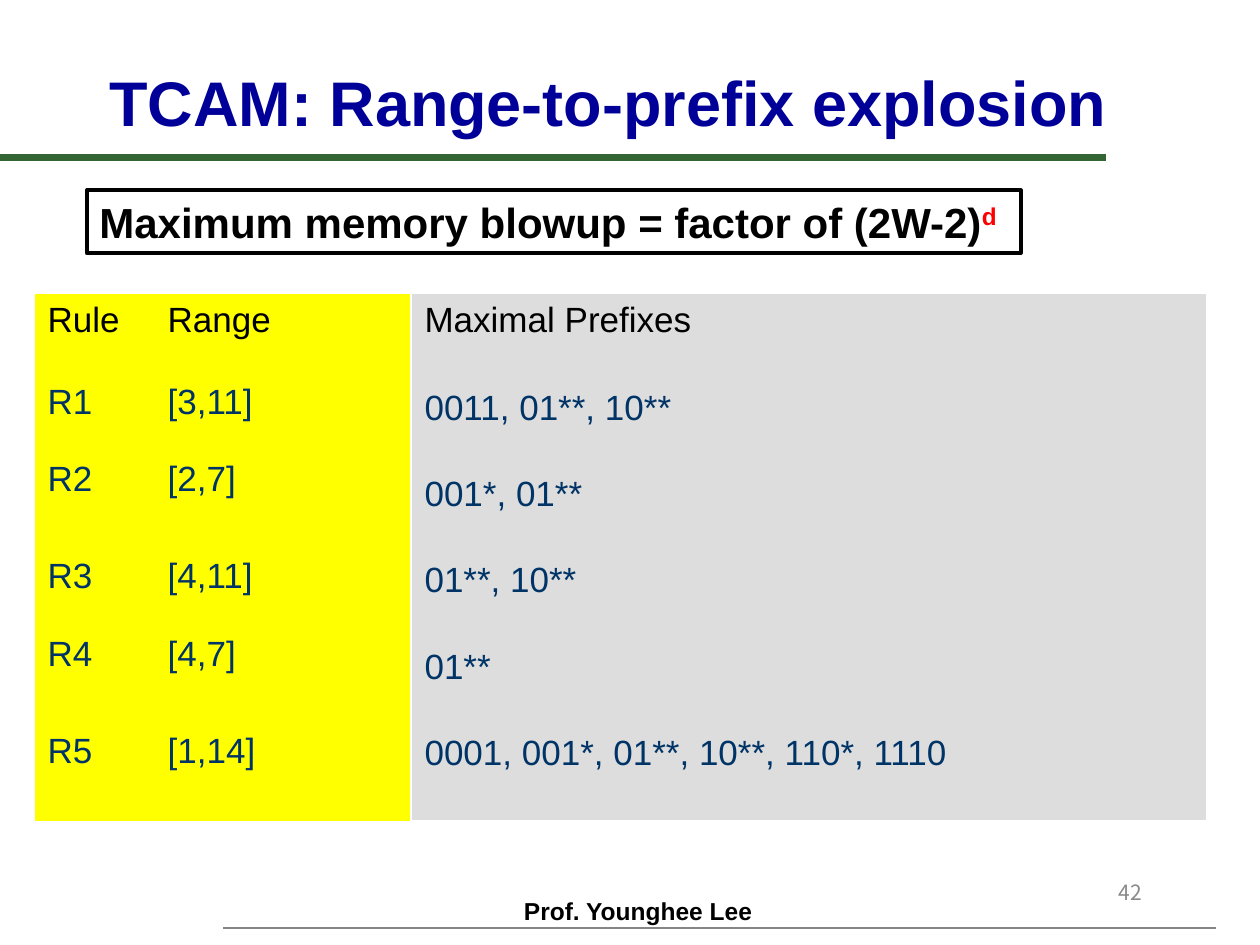
from lxml.etree import SubElement
from pptx import Presentation
from pptx.dml.color import RGBColor
from pptx.enum.shapes import MSO_CONNECTOR, MSO_SHAPE
from pptx.enum.text import MSO_ANCHOR, PP_ALIGN
from pptx.oxml.ns import qn
from pptx.util import Pt

PLAIN_TABLE_STYLE = "{2D5ABB26-0587-4C30-8999-92F81FD0307C}"
HEADER_COLOR, BODY_COLOR = "000000", "003366"

# start, end, colour, width
RULES = [
    ((0, 90), (632, 90), "336633", 4),
    ((127.5, 530.5), (694.8, 530.5), "868686", 1),
]

# text, (left, top, width, height), font, frame format, alignment
LABELS = [
    ("Prof. Younghee Lee", (292.3, 508.3, 149.8, 23.8),
     {"size": 14, "color": "000000", "bold": True},
     {"word_wrap": True}, PP_ALIGN.LEFT),
    ("42", (509.8, 491.8, 149.8, 36),
     {"size": 12, "color": "898989", "name": "Noto Sans CJK KR"},
     {"word_wrap": True, "vertical_anchor": MSO_ANCHOR.MIDDLE}, PP_ALIGN.RIGHT),
    ("TCAM: Range-to-prefix explosion", (55.4, 31.7, 586.8, 51.1),
     {"size": 36, "color": "000099", "bold": True},
     {"word_wrap": True, "vertical_anchor": MSO_ANCHOR.BOTTOM}, PP_ALIGN.LEFT),
]

BLOWUP_BOX = (49.7, 108.7, 533.5, 36)
BLOWUP_FACTOR = "Maximum memory blowup = factor of (2W-2)"
BLOWUP_EXPONENT = "d"

TABLES = [
    {
        "left": 235.4, "fill": "DDDDDD", "columns": [453.6],
        "heights": [50.4, 49.3, 49.3, 49.3, 49.3, 53],
        "rows": [["Maximal Prefixes"], ["0011, 01**, 10**"], ["001*, 01**"],
                 ["01**, 10**"], ["01**"],
                 ["0001, 001*, 01**, 10**, 110*, 1110"]],
    },
    {
        "left": 20, "fill": "FFFF00", "columns": [68.6, 145.7],
        "heights": [47.4, 44, 55, 45, 55, 54.6],
        "rows": [["Rule", "Range"], ["R1", "[3,11]"], ["R2", "[2,7]"],
                 ["R3", "[4,11]"], ["R4", "[4,7]"], ["R5", "[1,14]"]],
    },
]
TABLE_TOP = 168


def rgb(hex_color):
    return RGBColor.from_string(hex_color)


def points(values):
    return [Pt(value) for value in values]


def add_run(paragraph, text, size, color, bold=False, name="Arial"):
    run = paragraph.add_run()
    run.text = text
    font_format = {"size": Pt(size), "bold": bold, "name": name}
    for key, value in font_format.items():
        setattr(run.font, key, value)
    run.font.color.rgb = rgb(color)
    return run


def add_rule(slide, start, end, color, width):
    rule = slide.shapes.add_connector(
        MSO_CONNECTOR.STRAIGHT, *points(start + end))
    rule.line.color.rgb = rgb(color)
    rule.line.width = Pt(width)
    SubElement(rule._element.spPr, qn("a:effectLst"))


def add_label(slide, text, box, font, frame_format, alignment):
    frame = slide.shapes.add_textbox(*points(box)).text_frame
    for key, value in frame_format.items():
        setattr(frame, key, value)
    paragraph = frame.paragraphs[0]
    paragraph.alignment = alignment
    add_run(paragraph, text, **font)


def add_rule_table(slide, left, fill, columns, heights, rows):
    frame = slide.shapes.add_table(
        len(rows), len(columns),
        *points((left, TABLE_TOP, sum(columns), sum(heights))))
    table = frame.table
    table._tbl.tblPr.find(qn("a:tableStyleId")).text = PLAIN_TABLE_STYLE
    table.horz_banding = False
    for column, width in zip(table.columns, columns):
        column.width = Pt(width)
    for i, (row, height, texts) in enumerate(zip(table.rows, heights, rows)):
        row.height = Pt(height)
        for cell, text in zip(row.cells, texts):
            cell.fill.solid()
            cell.fill.fore_color.rgb = rgb(fill)
            add_run(cell.text_frame.paragraphs[0], text, 20,
                    BODY_COLOR if i else HEADER_COLOR)


def add_blowup(slide):
    box = slide.shapes.add_shape(MSO_SHAPE.RECTANGLE, *points(BLOWUP_BOX))
    box.shadow.inherit = False
    box.fill.background()
    box.line.color.rgb = rgb("000000")
    box.line.width = Pt(2.25)
    box.text_frame.word_wrap = False
    box.text_frame.vertical_anchor = MSO_ANCHOR.TOP
    paragraph = box.text_frame.paragraphs[0]
    paragraph.alignment = PP_ALIGN.LEFT
    add_run(paragraph, BLOWUP_FACTOR, 24, "000000", bold=True)
    exponent = add_run(paragraph, BLOWUP_EXPONENT, 24, "FF0000", bold=True)
    exponent.font._element.set("baseline", "30000")


def main():
    presentation = Presentation()
    presentation.slide_width, presentation.slide_height = Pt(720), Pt(540)
    slide = presentation.slides.add_slide(presentation.slide_layouts[6])
    for rule in RULES:
        add_rule(slide, *rule)
    for label in LABELS:
        add_label(slide, *label)
    for table in TABLES:
        add_rule_table(slide, **table)
    add_blowup(slide)
    presentation.save("out.pptx")


if __name__ == "__main__":
    main()
